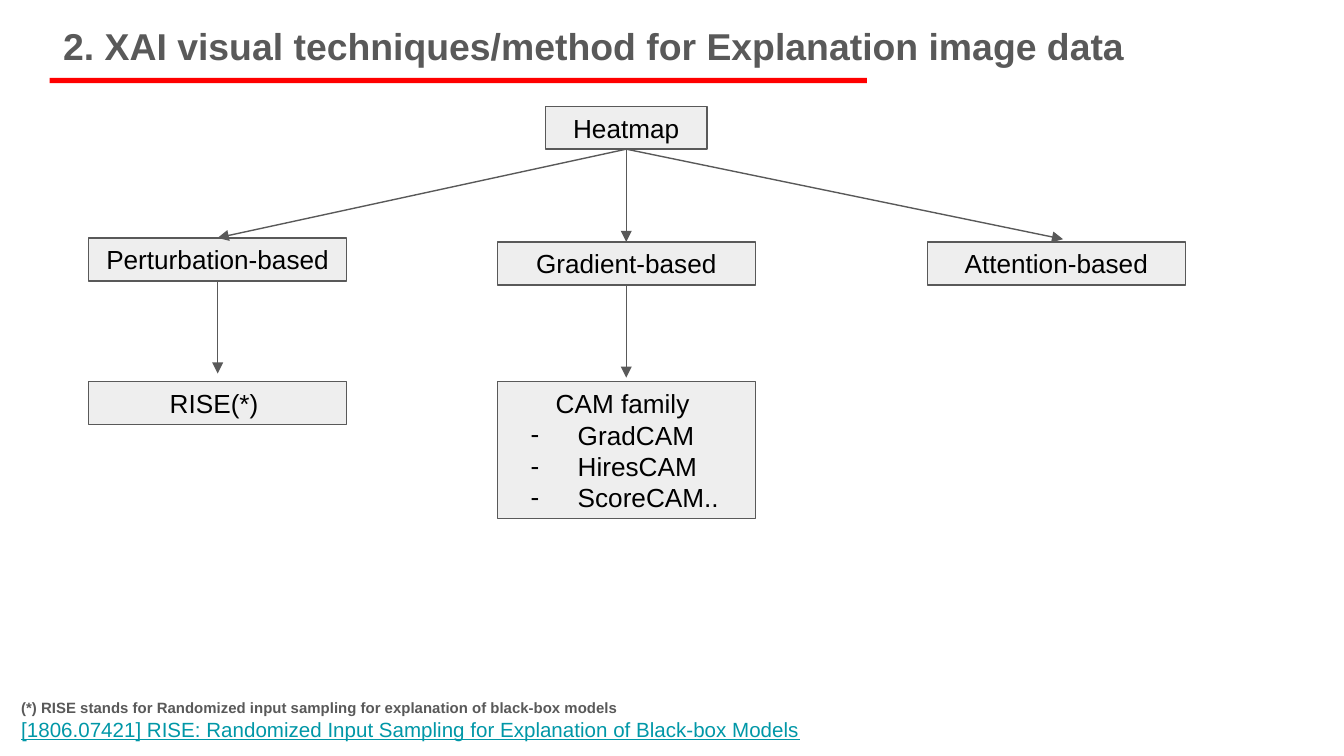
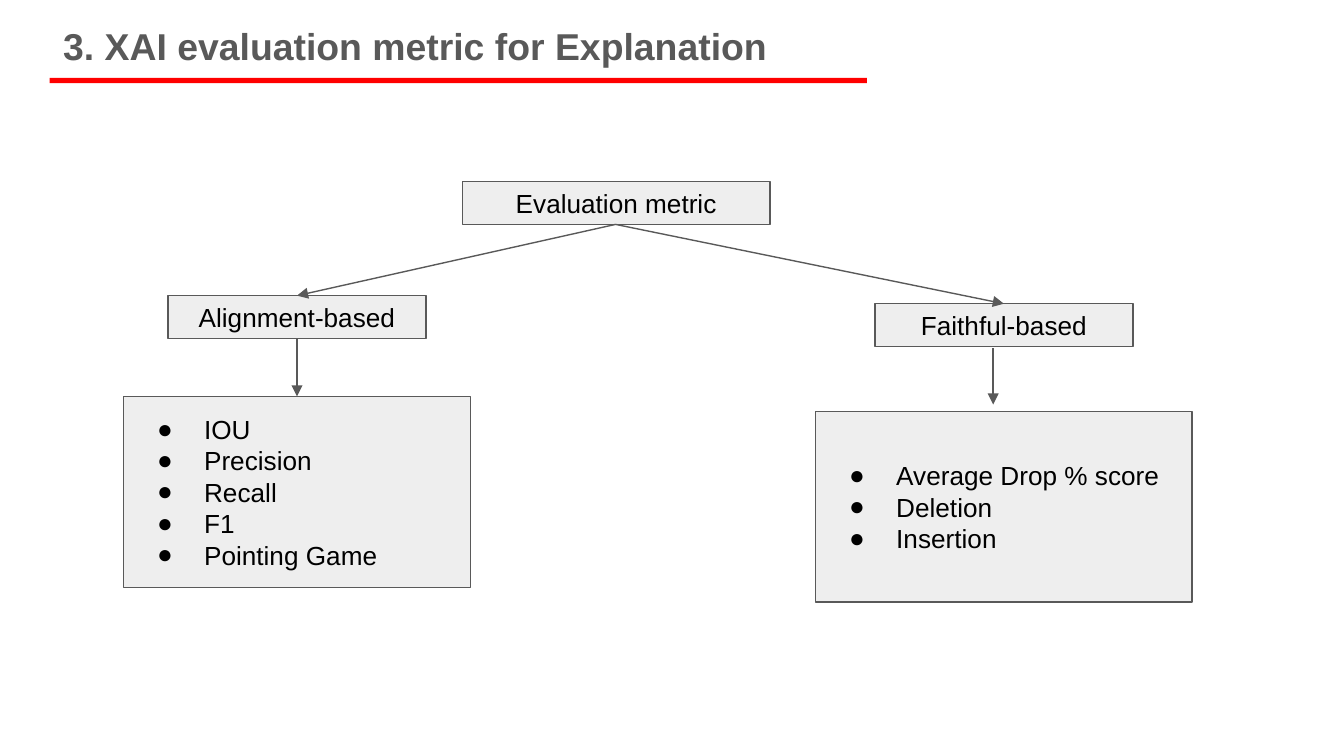
"""Build two slides charting XAI heatmap methods and evaluation metrics."""
from dataclasses import dataclass

import lxml.etree
import pptx
import pptx.dml.color
import pptx.enum.shapes
import pptx.enum.text
import pptx.oxml.ns
import pptx.util

Inches = pptx.util.Inches
Pt = pptx.util.Pt
qn = pptx.oxml.ns.qn
RGB = pptx.dml.color.RGBColor.from_string
ALIGN = pptx.enum.text.PP_ALIGN
ANCHOR = pptx.enum.text.MSO_ANCHOR
RECTANGLE = pptx.enum.shapes.MSO_SHAPE.RECTANGLE
STRAIGHT = pptx.enum.shapes.MSO_CONNECTOR.STRAIGHT


@dataclass(frozen=True)
class Theme:
    font: str = "Arial"
    grey: str = "595959"
    box: str = "EEEEEE"
    ink: str = "000000"
    accent: str = "FF0000"
    reference: str = "0097A7"
    title_size: int = 20
    node_size: int = 14
    note_size: int = 8
    reference_size: int = 11
    line_width: float = 0.75
    inset: float = 0.1


theme = Theme()


def set_frame(frame, anchor):
    frame.word_wrap = True
    frame.auto_size = pptx.enum.text.MSO_AUTO_SIZE.NONE
    frame.vertical_anchor = anchor
    frame.margin_left = frame.margin_right = Inches(theme.inset)
    frame.margin_top = frame.margin_bottom = Inches(theme.inset)


def style_paragraph(paragraph, size, color, bold=False, underline=False):
    for run in paragraph.runs:
        run.font.name = theme.font
        run.font.size = Pt(size)
        run.font.bold = bold
        run.font.underline = underline
        run.font.color.rgb = RGB(color)


slides = [
    {
        "title": "2. XAI visual techniques/method for Explanation image data",
        "title_width": 8.95,
        "nodes": [
            (4.06, 0.79, 1.2, 0.32, "Heatmap", "", []),
            (0.66, 1.77, 1.92, 0.32, "Perturbation-based", "", []),
            (3.7, 1.8, 1.92, 0.32, "Gradient-based", "", []),
            (6.9, 1.8, 1.92, 0.32, "Attention-based", "", []),
            (0.66, 2.84, 1.92, 0.32, "RISE(*) ", "", []),
            (3.7, 2.84, 1.92, 1.02, "CAM family ", "-",
             ["GradCAM", "HiresCAM", "ScoreCAM.."]),
        ],
        "arrows": [
            (4.66, 1.11, 1.62, 1.77),
            (4.66, 1.11, 4.66, 1.8),
            (4.66, 1.11, 7.91, 1.78),
            (4.66, 2.12, 4.66, 2.81),
            (1.62, 2.09, 1.62, 2.78),
        ],
        "footnote": [
            "(*) RISE stands for Randomized input sampling for explanation of black-box models",
            "[1806.07421] RISE: Randomized Input Sampling for Explanation of Black-box Models",
        ],
    },
    {
        "title": "3. XAI evaluation metric for Explanation",
        "title_width": 7.85,
        "nodes": [
            (3.44, 1.35, 2.29, 0.32, "Evaluation metric", "", []),
            (1.25, 2.2, 1.92, 0.32, "Alignment-based", "", []),
            (6.51, 2.26, 1.92, 0.32, "Faithful-based", "", []),
            (0.92, 2.95, 2.58, 1.42, "", "●",
             ["IOU", "Precision", "Recall", "F1", "Pointing Game"]),
            (6.07, 3.06, 2.8, 1.42, "", "●",
             ["Average Drop % score", "Deletion", "Insertion"]),
        ],
        "arrows": [
            (4.58, 1.67, 2.21, 2.2),
            (4.58, 1.67, 7.47, 2.26),
            (2.21, 2.52, 2.21, 2.95),
            (7.39, 2.59, 7.39, 3.01),
        ],
        "footnote": [],
    },
]

deck = pptx.Presentation()
deck.slide_width = Inches(10)
deck.slide_height = deck.slide_width * 9 // 16

for content in slides:
    slide = deck.slides.add_slide(deck.slide_layouts[5])

    title = slide.shapes.title
    title.left, title.top = Inches(0.37), Inches(0.07)
    title.width, title.height = Inches(content["title_width"]), Inches(0.88)
    title.text_frame.text = content["title"]
    set_frame(title.text_frame, ANCHOR.TOP)
    heading_line = title.text_frame.paragraphs[0]
    heading_line.alignment = ALIGN.LEFT
    style_paragraph(heading_line, theme.title_size, theme.grey, bold=True)

    title_rule = slide.shapes.add_shape(
        RECTANGLE, Inches(0.37), Inches(0.58), Inches(6.08), Inches(0.04))
    title_rule.shadow.inherit = False
    title_rule.fill.solid()
    title_rule.fill.fore_color.rgb = RGB(theme.accent)
    title_rule.line.fill.background()

    for left, top, width, height, heading, mark, items in content["nodes"]:
        node = slide.shapes.add_shape(
            RECTANGLE, Inches(left), Inches(top), Inches(width), Inches(height))
        node.shadow.inherit = False
        node.fill.solid()
        node.fill.fore_color.rgb = RGB(theme.box)
        node.line.color.rgb = RGB(theme.grey)
        node.line.width = Pt(theme.line_width)
        node.text_frame.text = "\n".join([heading] * bool(heading) + items)
        set_frame(node.text_frame, ANCHOR.MIDDLE)
        for index, paragraph in enumerate(node.text_frame.paragraphs):
            if heading and index == 0:
                paragraph.alignment = ALIGN.CENTER
            else:
                paragraph.alignment = ALIGN.LEFT
                properties = paragraph._p.get_or_add_pPr()
                properties.set("marL", str(Inches(0.5)))
                properties.set("indent", str(Inches(-0.35)))
                mark_color = lxml.etree.SubElement(properties, qn("a:buClr"))
                lxml.etree.SubElement(mark_color, qn("a:srgbClr"), val=theme.ink)
                lxml.etree.SubElement(properties, qn("a:buFont"), typeface=theme.font)
                lxml.etree.SubElement(properties, qn("a:buChar"), char=mark)
            style_paragraph(paragraph, theme.node_size, theme.ink)

    for ends in content["arrows"]:
        arrow = slide.shapes.add_connector(STRAIGHT, *map(Inches, ends))
        arrow.line.color.rgb = RGB(theme.grey)
        arrow.line.width = Pt(theme.line_width)
        outline = arrow._element.spPr.find(qn("a:ln"))
        lxml.etree.SubElement(outline, qn("a:tailEnd"), type="triangle")
        lxml.etree.SubElement(arrow._element.spPr, qn("a:effectLst"))

    if content["footnote"]:
        footnote = slide.shapes.add_textbox(
            Inches(0.06), Inches(5.1), Inches(7.4), Inches(0.52))
        footnote.text_frame.text = "\n".join(content["footnote"])
        set_frame(footnote.text_frame, ANCHOR.TOP)
        explanation, reference = footnote.text_frame.paragraphs
        style_paragraph(explanation, theme.note_size, theme.grey, bold=True)
        style_paragraph(reference, theme.reference_size, theme.reference, underline=True)

deck.save("out.pptx")
